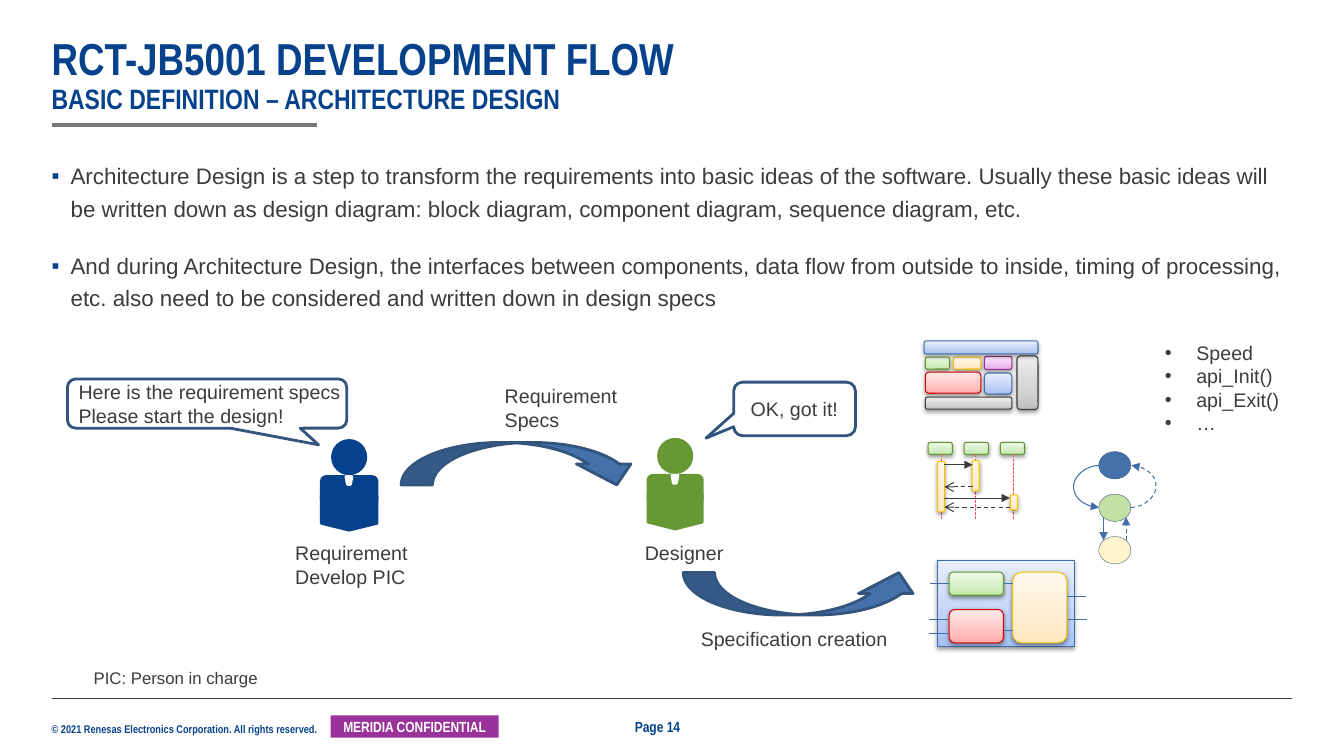
from collections import namedtuple
from copy import deepcopy

from lxml.etree import SubElement
from pptx import Presentation
from pptx.dml.color import RGBColor
from pptx.enum.dml import MSO_LINE
from pptx.enum.shapes import MSO_CONNECTOR, MSO_SHAPE
from pptx.enum.text import MSO_ANCHOR, MSO_AUTO_SIZE, PP_ALIGN
from pptx.oxml.ns import qn
from pptx.util import Cm, Pt

COLOURS = {
    "navy": "06418C", "text": "3C3C3B", "white": "FFFFFF", "violet": "993399",
    "rule": "797979", "leaf": "669933", "steel": "4471A9", "outline": "32547D",
    "wire": "406EA8", "ink": "3B3B3A", "lifeline": "FF4E4E",
    "mint": "C2E0A3", "cream": "FFF4CC",
}
BLENDS = {
    "green": ("C0E9A9", "D3EFC4", "EEFAE8", "64982F"),
    "yellow": ("FFE6BD", "FFEDD1", "FFF8EE", "F9C400"),
    "purple": ("E9A9E9", "EFC4EF", "FAE8FA", "982F98"),
    "red": ("FFAAAA", "FFC3C3", "FFE8E8", "D20000"),
    "blue": ("A7C0F3", "C2D3F5", "E7EEFC", "406EA8"),
    "grey": ("C0C0BF", "D3D3D2", "EEEEEE", "3B3B3A"),
}
Box = namedtuple("Box", "left top width height")


def rgb(name):
    return RGBColor.from_string(COLOURS[name])


def place(box, x, y, width, height):
    return Cm(box.left + x), Cm(box.top + y), Cm(width), Cm(height)


def style(paragraph, size, colour="text", font="Arial", bold=False):
    for run in paragraph.runs:
        run.font.size = Pt(size)
        run.font.name = font
        run.font.bold = bold
        run.font.color.rgb = rgb(colour)


def bullet(paragraph, char, indent, colour):
    props = paragraph._p.get_or_add_pPr()
    props.set("marL", str(Cm(indent)))
    props.set("indent", str(-Cm(indent)))
    SubElement(SubElement(props, qn("a:buClr")), qn("a:srgbClr"), val=COLOURS[colour])
    SubElement(props, qn("a:buFont"), typeface="Arial")
    SubElement(props, qn("a:buChar"), char=char)


def label(slide, box, text, size=14, align=PP_ALIGN.LEFT, wrap=False, inset=True, **look):
    frame = slide.shapes.add_textbox(*place(box, 0, 0, box.width, box.height)).text_frame
    frame.text = text
    frame.word_wrap = wrap
    frame.auto_size = MSO_AUTO_SIZE.SHAPE_TO_FIT_TEXT
    if not inset:
        frame.margin_left = frame.margin_right = frame.margin_top = frame.margin_bottom = 0
    for paragraph in frame.paragraphs:
        paragraph.alignment = align
        style(paragraph, size, **look)
    return frame


def solid(shapes, kind, position, fill, line=None, width=2, adjust=(), flip=False):
    shape = shapes.add_shape(kind, *position)
    shape.shadow.inherit = False
    if fill:
        shape.fill.solid()
        shape.fill.fore_color.rgb = rgb(fill)
    else:
        shape.fill.background()
    if line:
        shape.line.color.rgb = rgb(line)
        shape.line.width = Pt(width)
    else:
        shape.line.fill.background()
    for index, value in enumerate(adjust):
        shape.adjustments[index] = value
    if flip:
        shape._element.spPr.find(qn("a:xfrm")).set("flipV", "1")
    return shape


def block(slide, position, blend, kind=MSO_SHAPE.ROUNDED_RECTANGLE):
    shape = slide.shapes.add_shape(kind, *position)
    shape.fill.gradient()
    shape.fill.gradient_angle = 90
    stops = next(shape._element.spPr.iter(qn("a:gsLst")))
    stops.insert(1, deepcopy(stops[0]))
    *tints, edge = BLENDS[blend]
    for stop, offset, tint in zip(shape.fill.gradient_stops, (0, 0.35, 1), tints):
        stop.position = offset
        stop.color.rgb = RGBColor.from_string(tint)
    shape.line.color.rgb = RGBColor.from_string(edge)
    shape.line.width = Pt(0.75)
    shape.shadow.inherit = False
    effects = shape._element.spPr.find(qn("a:effectLst"))
    shadow = SubElement(effects, qn("a:outerShdw"), blurRad=str(Pt(3.1)), dist=str(Pt(1.6)),
                        dir="5400000", rotWithShape="0")
    black = SubElement(shadow, qn("a:srgbClr"), val="000000")
    SubElement(black, qn("a:alpha"), val="38000")
    return shape


def link(slide, box, start, end, colour="wire", width=0.75, dash=None, tip=None, bulge=None):
    kind = MSO_CONNECTOR.STRAIGHT if bulge is None else MSO_CONNECTOR.CURVE
    connector = slide.shapes.add_connector(kind, *place(box, *start, box.left + end[0], box.top + end[1]))
    connector.line.color.rgb = rgb(colour)
    connector.line.width = Pt(width)
    if dash:
        connector.line.dash_style = dash
    props = connector._element.spPr
    if tip:
        SubElement(props.find(qn("a:ln")), qn("a:tailEnd"), type=tip)
    if bulge is not None:
        guides = props.find(qn("a:prstGeom")).get_or_add_avLst()
        SubElement(guides, qn("a:gd"), name="adj1", fmla=f"val {round(bulge * 100000)}")
    SubElement(props, qn("a:effectLst"))
    return connector


def header(slide, box):
    title = slide.shapes.title
    title.left, title.top, title.width, title.height = place(box, 0, 0, box.width, box.height)
    frame = title.text_frame
    frame.text = "RCT-JB5001 DEVELOPMENT FLOW\vBASIC DEFINITION – ARCHITECTURE DESIGN"
    frame.margin_left = frame.margin_right = frame.margin_top = frame.margin_bottom = 0
    frame.vertical_anchor = MSO_ANCHOR.BOTTOM
    frame.auto_size = MSO_AUTO_SIZE.NONE
    heading = frame.paragraphs[0]
    heading.alignment = PP_ALIGN.LEFT
    heading.line_spacing = 0.9
    style(heading, 32, "navy", "Arial Narrow", True)
    heading.runs[1].font.size = Pt(20)
    for line_break in heading._p.iter(qn("a:br")):
        SubElement(line_break, qn("a:rPr"), sz="3200")
    link(slide, box, (0, 2.24), (6.68, 2.24), "rule", 3)


def explanation(slide, box):
    body = slide.placeholders[1]
    body.left, body.top, body.width, body.height = place(box, 0, 0, box.width, box.height)
    frame = body.text_frame
    frame.text = (
        "Architecture Design is a step to transform the requirements into basic ideas of the software. "
        "Usually these basic ideas will be written down as design diagram: block diagram, "
        "component diagram, sequence diagram, etc.\n"
        "And during Architecture Design, the interfaces between components, data flow from outside "
        "to inside, timing of processing, etc. also need to be considered and written down in design specs")
    frame.margin_left = frame.margin_right = frame.margin_top = frame.margin_bottom = 0
    frame.auto_size = MSO_AUTO_SIZE.NONE
    for paragraph in frame.paragraphs:
        bullet(paragraph, "▪", 0.48, "navy")
        paragraph.line_spacing = 1.2
        paragraph.space_before = Pt(0)
        paragraph.space_after = Pt(18)
        style(paragraph, 16)


def person(slide, box, colour):
    parts = slide.shapes.add_group_shape().shapes
    width, middle = box.width, box.width / 2
    solid(parts, MSO_SHAPE.ROUNDED_RECTANGLE, place(box, 0, 0.91, width, 0.71), colour, colour)
    solid(parts, MSO_SHAPE.OVAL, place(box, middle - 0.42, 0, 0.84, 0.84), colour, colour)
    solid(parts, MSO_SHAPE.FLOWCHART_OFFPAGE_CONNECTOR, place(box, 0, 1.4, width, 0.86), colour, colour)
    solid(parts, MSO_SHAPE.TRAPEZOID, place(box, middle - 0.08, 0.91, 0.15, 0.2), "white", "white", flip=True)


def handover(slide, box):
    person(slide, Box(box.left + 6.4, box.top + 1.65, 1.4, 2.26), "navy")
    person(slide, Box(box.left + 14.63, box.top + 1.62, 1.37, 2.26), "leaf")
    for x, y, flip in ((8.41, 1.7, True), (15.52, 4.98, False)):
        solid(slide.shapes, MSO_SHAPE.CURVED_UP_ARROW, place(box, x, y, 6.12, 1.07),
              "steel", "outline", adjust=(0.738, 1.284, 0.494), flip=flip)
    for position, tail in (((0, 0.1, 7.04, 1.24), (0.399, 0.838, 0.167)),
                           ((16.79, 0.18, 3.07, 1.35), (-0.728, 0.547, 0.167))):
        solid(slide.shapes, MSO_SHAPE.ROUNDED_RECTANGULAR_CALLOUT, place(box, *position),
              None, "outline", adjust=tail)
    for x, y, width, height, text, look in (
            (0.03, 0, 7.16, 1.45, "Here is the requirement specs\nPlease start the design!", {"wrap": True}),
            (5.49, 4.06, 3.35, 1.45, "Requirement\nDevelop PIC", {}),
            (10.77, 0.1, 3.35, 1.45, "Requirement\nSpecs", {}),
            (16.97, 0.43, 2.72, 0.86, "OK, got it!", {}),
            (14.3, 4.06, 2.51, 0.86, "Designer", {}),
            (15.7, 6.22, 5.23, 0.86, "Specification creation", {"align": PP_ALIGN.CENTER}),
            (0.41, 7.26, 4.67, 0.76, "PIC: Person in charge", {"size": 12})):
        label(slide, Box(box.left + x, box.top + y, width, height), text, **look)


def block_diagram(slide, box):
    for blend, *position in (
            ("green", 0.03, 0.41, 0.61, 0.3), ("yellow", 0.74, 0.41, 0.69, 0.3),
            ("purple", 1.52, 0.39, 0.69, 0.33), ("red", 0.03, 0.79, 1.4, 0.53),
            ("blue", 1.52, 0.81, 0.69, 0.53), ("grey", 0.03, 1.42, 2.18, 0.3),
            ("grey", 2.34, 0.38, 0.53, 1.35), ("blue", 0, 0, 2.87, 0.33)):
        block(slide, place(box, *position), blend)


def sequence_diagram(slide, box):
    for index, (x, top, height) in enumerate(((0.33, 0.48, 1.27), (1.2, 0.46, 0.76), (2.16, 1.32, 0.38))):
        block(slide, place(box, index * 0.91, 0, 0.61, 0.3), "green")
        link(slide, box, (x, 0.3), (x, 1.93), "lifeline", dash=MSO_LINE.SQUARE_DOT)
        block(slide, place(box, x - 0.09, top, 0.18, height), "yellow")
    for start, end, y in ((0.41, 1.12, 0.56), (0.41, 2.06, 1.4), (2.06, 0.41, 1.63), (1.12, 0.41, 1.12)):
        reply = start > end
        link(slide, box, (start, y), (end, y), "ink", dash=MSO_LINE.DASH if reply else None,
             tip="arrow" if reply else "triangle")


def state_diagram(slide, box):
    for index, colour in enumerate(("steel", "mint", "cream")):
        solid(slide.shapes, MSO_SHAPE.OVAL, place(box, 0, index * 1.07, 0.81, 0.69), colour, "outline", 0.25)
    for start, end, dash, bulge in (
            ((0, 0.35), (0.01, 1.41), None, -63.5),
            ((0.12, 1.65), (0.12, 2.24), None, None),
            ((0.69, 2.24), (0.69, 1.65), MSO_LINE.DASH, None),
            ((0.81, 1.41), (0.82, 0.35), MSO_LINE.DASH, 63.5)):
        link(slide, box, start, end, dash=dash, tip="triangle", bulge=bulge)


def component_diagram(slide, box):
    block(slide, place(box, 0, 0, box.width, box.height), "blue", MSO_SHAPE.RECTANGLE)
    source = block(slide, place(box, 0.3, 0.3, 1.37, 0.58), "green")
    block(slide, place(box, 0.3, 1.24, 1.37, 0.84), "red")
    block(slide, place(box, 1.9, 0.3, 1.37, 1.78), "yellow")
    link(slide, box, (1.67, 0.59), (1.9, 0.59)).begin_connect(source, 3)
    link(slide, box, (-0.18, 0.59), (0.3, 0.59)).end_connect(source, 1)
    for start, end, y in ((1.67, 1.9, 1.78), (-0.2, 0.28, 1.5), (-0.2, 0.28, 1.85),
                          (3.27, 3.76, 0.91), (3.29, 3.78, 1.5)):
        link(slide, box, (start, y), (end, y))


def interface_list(slide, box):
    for paragraph in label(slide, box, "Speed\napi_Init()\napi_Exit()\n…").paragraphs:
        bullet(paragraph, "•", 0.79, "text")


def footer(slide, box):
    brand = {"colour": "navy", "font": "Arial Narrow", "bold": True}
    link(slide, box, (0, 0), (box.width, 0), "text", 0.5)
    label(slide, Box(box.left, box.top + 0.59, 6.93, 0.33),
          "© 2021 Renesas Electronics Corporation. All rights reserved.", 8, inset=False, **brand)
    badge = solid(slide.shapes, MSO_SHAPE.RECTANGLE, place(box, 7.03, 0.43, 4.24, 0.56), "violet")
    frame = badge.text_frame
    frame.text = "MERIDIA CONFIDENTIAL"
    frame.margin_left = frame.margin_right = Cm(0.1)
    frame.margin_top = frame.margin_bottom = 0
    frame.vertical_anchor = MSO_ANCHOR.MIDDLE
    frame.paragraphs[0].alignment = PP_ALIGN.CENTER
    style(frame.paragraphs[0], 10.5, "white", "Arial Narrow", True)
    label(slide, Box(box.left + 14.45, box.top + 0.36, 1.7, 0.71), "Page 14", 10.5, **brand)


def main():
    deck = Presentation()
    deck.slide_width, deck.slide_height = Cm(33.87), Cm(19.05)
    slide = deck.slides.add_slide(deck.slide_layouts[1])
    footer(slide, Box(1.3, 17.6, 31.26, 1.1))
    header(slide, Box(1.3, 0.91, 31.24, 2.01))
    explanation(slide, Box(1.3, 3.96, 31.24, 5.38))
    handover(slide, Box(1.7, 9.45, 21.64, 8.02))
    block_diagram(slide, Box(23.29, 8.59, 2.87, 1.73))
    sequence_diagram(slide, Box(23.39, 11.15, 2.43, 1.93))
    state_diagram(slide, Box(27.69, 11.38, 0.81, 2.83))
    interface_list(slide, Box(29.11, 8.46, 3.4, 2.64))
    component_diagram(slide, Box(23.62, 14.12, 3.45, 2.18))
    deck.save("out.pptx")


if __name__ == "__main__":
    main()
